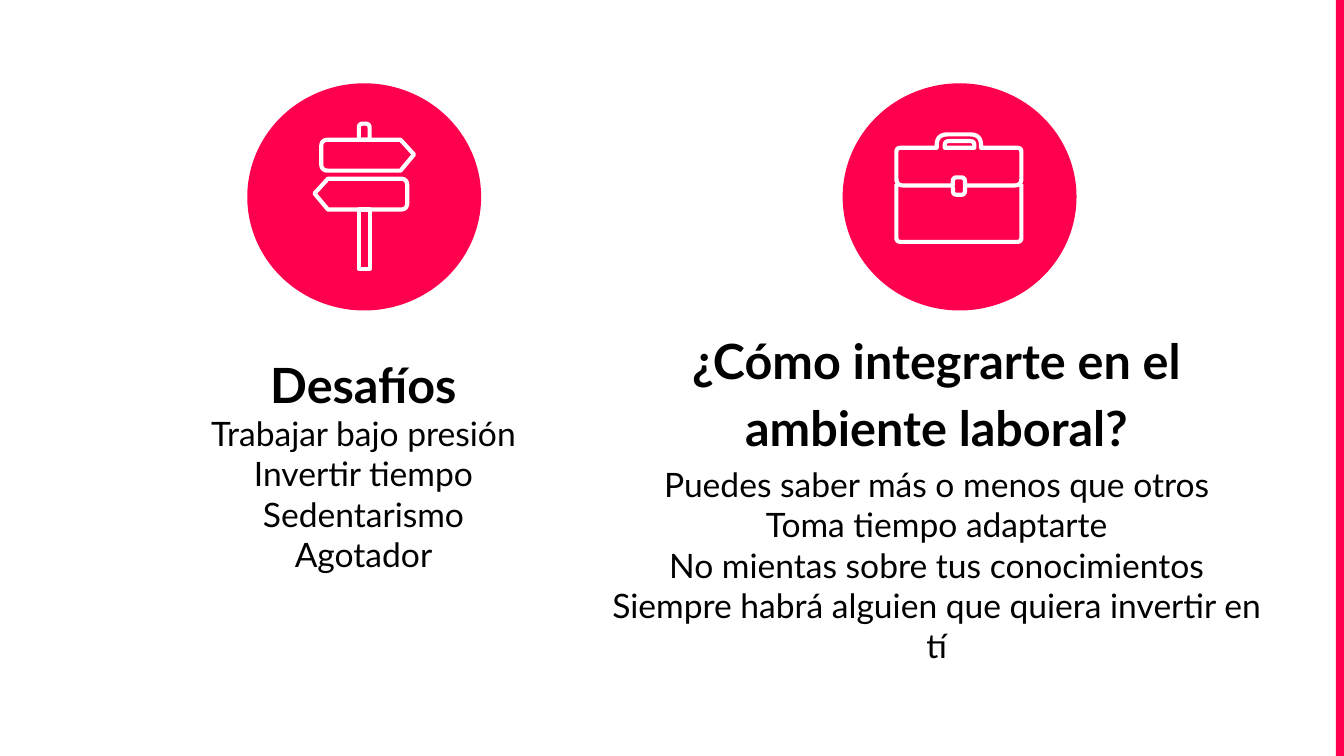
from math import hypot

from pptx import Presentation
from pptx.dml.color import RGBColor
from pptx.enum.shapes import MSO_SHAPE
from pptx.enum.text import PP_ALIGN
from pptx.util import Inches, Pt

OVAL, RECTANGLE = MSO_SHAPE.OVAL, MSO_SHAPE.RECTANGLE
CENTER = PP_ALIGN.CENTER
COLORS = {name: RGBColor.from_string(code) for name, code in {
    "pink": "FF004E", "white": "FFFFFF", "black": "000000"}.items()}

deck = Presentation()
deck.slide_width = Inches(10)
deck.slide_height = Inches(10) * 9 // 16
page = deck.slides.add_slide(deck.slide_layouts[6])


def add_outline(*contours, closed=True):
    """Draw white contours of (x, y) or (x, y, corner radius) points in inches."""
    builder = None
    for contour in contours:
        points = []
        for index, (x, y, *radius) in enumerate(contour):
            if not radius:
                points.append((x, y))
                continue
            ends = []
            for neighbour in (contour[index - 1], contour[(index + 1) % len(contour)]):
                dx, dy = neighbour[0] - x, neighbour[1] - y
                part = radius[0] / hypot(dx, dy)
                ends.append((x + dx * part, y + dy * part))
            for step in range(7):
                t = step / 6
                points.append(tuple(
                    (1 - t) ** 2 * a + 2 * t * (1 - t) * b + t ** 2 * c
                    for a, b, c in zip(ends[0], (x, y), ends[1])))
        points = [(Inches(x), Inches(y)) for x, y in points]
        if builder is None:
            builder = page.shapes.build_freeform(*points[0], scale=1.0)
        else:
            builder.move_to(*points[0])
        builder.add_line_segments(points[1:], close=closed)
    shape = builder.convert_to_shape()
    shape.shadow.inherit = False
    shape.fill.background()
    shape.line.color.rgb = COLORS["white"]
    shape.line.width = Pt(2.25)


def add_line(frame, text, size=18, bold=False, first=False, **spacing):
    para = frame.paragraphs[0] if first else frame.add_paragraph()
    para.alignment = CENTER
    for name, value in spacing.items():
        setattr(para, name, value)
    span = para.add_run()
    span.text = text
    span.font.name = "Lato"
    span.font.size = Pt(size)
    span.font.bold = bold
    span.font.color.rgb = COLORS["black"]


# Side bar and icon discs
for kind, left, top, width, height in [
    (RECTANGLE, 9.94, 0, 0.06, 5.62),
    (OVAL, 6.27, 0.62, 1.74, 1.69),
    (OVAL, 1.84, 0.62, 1.74, 1.69),
]:
    shape = page.shapes.add_shape(
        kind, Inches(left), Inches(top), Inches(width), Inches(height))
    shape.shadow.inherit = False
    shape.fill.solid()
    shape.fill.fore_color.rgb = COLORS["pink"]
    shape.line.fill.background()
    if kind == RECTANGLE:
        shape.height = deck.slide_height

# Text columns
columns = [
    ((0.92, 2.54, 3.57, 2.94), "Desafíos", {},
     ["Trabajar bajo presión", "Invertir tiempo", "Sedentarismo", "Agotador"]),
    ((4.37, 2.3, 5.2, 3.11), "¿Cómo integrarte en el ambiente laboral?",
     {"line_spacing": 1.15, "space_before": Pt(18), "space_after": Pt(4)},
     ["Puedes saber más o menos que otros", "Toma tiempo adaptarte",
      "No mientas sobre tus conocimientos",
      "Siempre habrá alguien que quiera invertir en tí"]),
]
for place, heading, spacing, lines in columns:
    box = page.shapes.add_textbox(*[Inches(value) for value in place])
    frame = box.text_frame
    frame.word_wrap = True
    frame.margin_left = frame.margin_right = Inches(0.1)
    frame.margin_top = frame.margin_bottom = Inches(0.1)
    add_line(frame, heading, size=26, bold=True, first=True, **spacing)
    for line in lines:
        add_line(frame, line)

# Signpost: right board, left board, post top, post
add_outline([(2.98, 1.04), (2.39, 1.04, 0.05), (2.39, 1.27, 0.05),
             (2.98, 1.27), (3.08, 1.15)])
add_outline([(2.44, 1.33), (3.03, 1.33, 0.05), (3.03, 1.56, 0.05),
             (2.44, 1.56), (2.34, 1.44)])
add_outline([(2.75, 1.04), (2.75, 0.92, 0.03), (2.67, 0.92, 0.03), (2.67, 1.04)])
add_outline([(2.67, 1.56), (2.67, 2), (2.75, 2), (2.75, 1.56)])

# Briefcase: flap with handle, lower clasp, body
flap = [(7.3, 1.1), (7.3, 1, 0.08), (6.97, 1, 0.08), (6.97, 1.1),
        (6.67, 1.1, 0.03), (6.67, 1.38, 0.05), (7.09, 1.38),
        (7.09, 1.32, 0.03), (7.18, 1.32, 0.03), (7.18, 1.38),
        (7.6, 1.38, 0.05), (7.6, 1.1, 0.03)]
handle_gap = [(7.25, 1.1), (7.25, 1.05, 0.03), (7.03, 1.05, 0.03), (7.03, 1.1)]
add_outline(flap, handle_gap)
add_outline([(7.18, 1.39), (7.18, 1.45, 0.03), (7.09, 1.45, 0.03), (7.09, 1.39)],
            closed=False)
add_outline([(6.67, 1.37), (6.67, 1.8, 0.03), (7.6, 1.8, 0.03), (7.6, 1.37)],
            closed=False)

deck.save("out.pptx")
